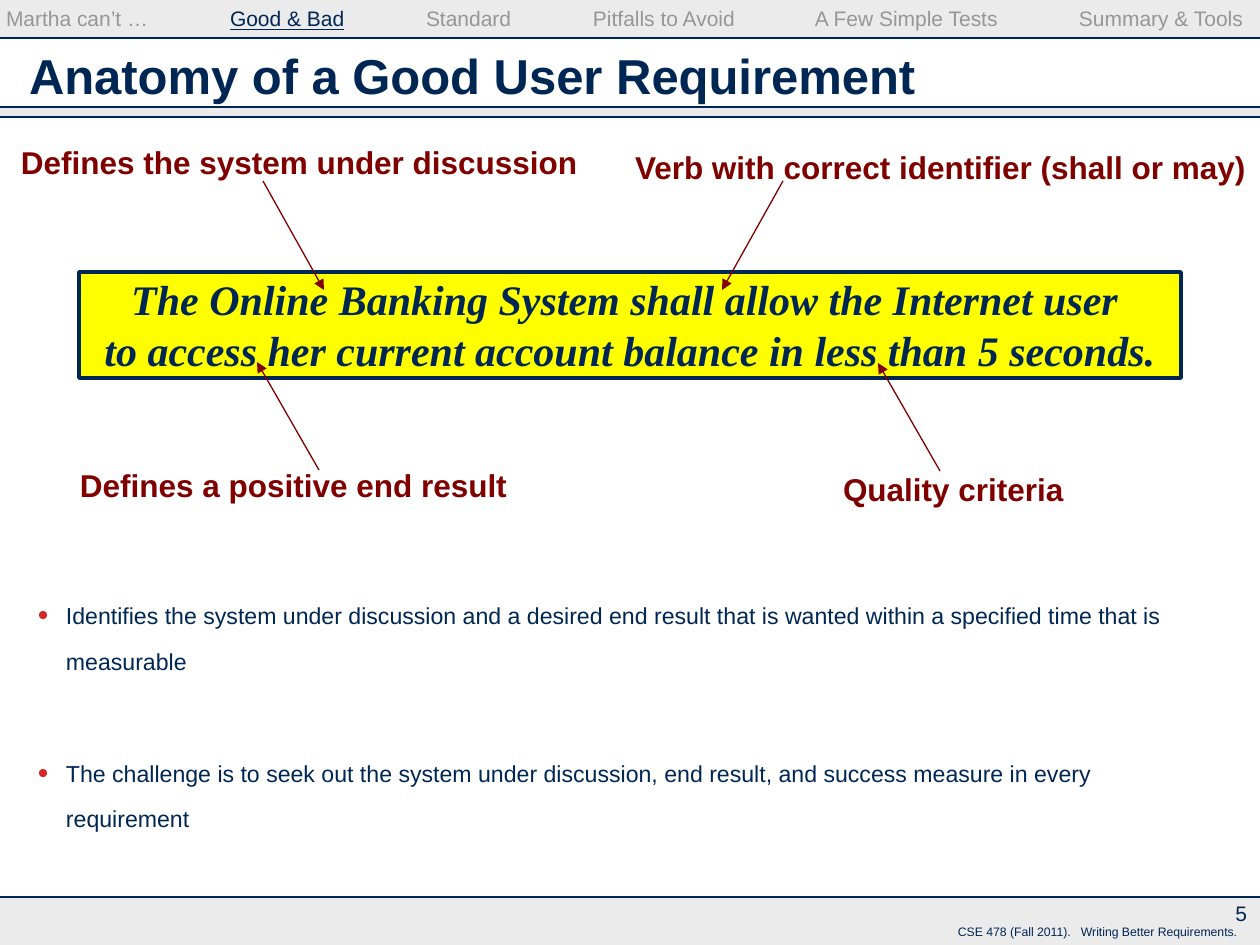
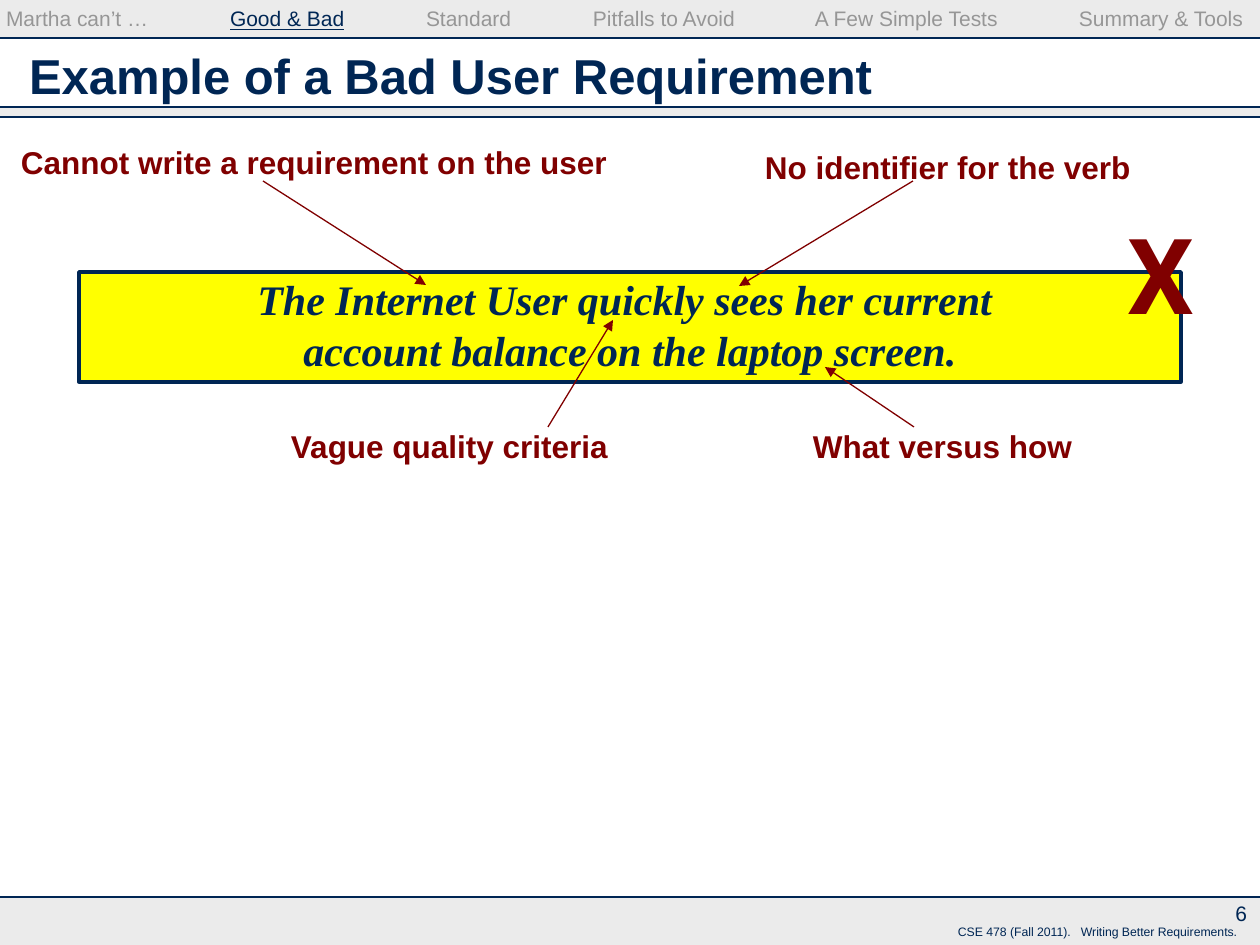
from pptx import Presentation
from pptx.dml.color import RGBColor
from pptx.enum.shapes import MSO_CONNECTOR as Connector, MSO_SHAPE as Shape
from pptx.enum.text import MSO_ANCHOR as Anchor, MSO_AUTO_SIZE as AutoSize, PP_ALIGN as Align
from pptx.oxml.ns import qn
from pptx.util import Emu, Pt
from lxml.etree import SubElement

# Shared style
COLORS = {"navy": "002654", "maroon": "800000", "grey": "969696",
          "band": "CDCDCD", "yellow": "FFFF00", "bullet": "D62828"}
EMU_PER_PX = 914400 / 126
WIDTH, HEIGHT = 1260, 945
INSETS = (13, 6, 13, 6)
NO_INSETS = (0, 0, 0, 0)

# Shared content
BANDS = [(0, 38), (107, 9), (897, 48)]  # top, height
RULES = [38, 107, 117, 897]
CHAPTERS = [("Martha can’t …", 6), ("Good & Bad", 230), ("Standard", 426),
            ("Pitfalls to Avoid", 593), ("A Few Simple Tests", 815),
            ("Summary & Tools", 1079)]
CURRENT_CHAPTER = "Good & Bad"
FOOTER = [("CSE 478 (Fall 2011).", 958), ("Writing Better Requirements.", 1081)]

# Slide content: each callout has its text, box (left, top, width), arrow start and end
SLIDES = [
    {
        "number": 5,
        "title": "Anatomy of a Good User Requirement",
        "statement": ["The Online Banking System shall allow the Internet user ",
                      "to access her current account balance in less than 5 seconds."],
        "statement_height": 106,
        "callouts": [
            ("Defines the system under discussion", (8, 137, 582), (263, 181), (324, 290)),
            ("Verb with correct identifier (shall or may)", (622, 142, 638), (783, 181), (722, 290)),
            ("Defines a positive end result", (67, 460, 452), (319, 470), (257, 362)),
            ("Quality criteria", (830, 464, 246), (940, 471), (878, 363)),
        ],
        "bullets": [
            "Identifies the system under discussion and a desired end result that is "
            "wanted within a specified time that is measurable",
            "The challenge is to seek out the system under discussion, end result, "
            "and success measure in every requirement",
        ],
    },
    {
        "number": 6,
        "title": "Example of a Bad User Requirement",
        "statement": ["The Internet User quickly sees her current ",
                      "account balance on the laptop screen."],
        "statement_height": 110,
        "callouts": [
            ("Cannot write a requirement on the user", (8, 137, 611), (263, 181), (426, 285)),
            ("No identifier for the verb", (752, 142, 391), (913, 181), (739, 286)),
            ("Vague quality criteria", (278, 421, 344), (548, 427), (613, 320)),
            ("What versus how", (800, 421, 284), (914, 427), (825, 367)),
        ],
        "rejected": "X",
    },
]


def px(length):
    return Emu(round(length * EMU_PER_PX))


def rgb(name):
    return RGBColor.from_string(COLORS[name])


def place(shape, left, top, width, height):
    shape.left, shape.top, shape.width, shape.height = map(px, (left, top, width, height))


def set_frame(frame, insets=INSETS, anchor=Anchor.TOP, wrap=True):
    frame.auto_size = AutoSize.NONE
    frame.word_wrap = wrap
    frame.vertical_anchor = anchor
    (frame.margin_left, frame.margin_top,
     frame.margin_right, frame.margin_bottom) = map(px, insets)


def add_run(paragraph, text, size, color="navy", font="Arial", bold=False, italic=False):
    run = paragraph.add_run()
    run.text = text
    run.font.name, run.font.size = font, Pt(size)
    run.font.bold, run.font.italic = bold, italic
    run.font.color.rgb = rgb(color)
    return run


def add_text_box(slide, box, **frame_options):
    text_box = slide.shapes.add_textbox(*map(px, box))
    set_frame(text_box.text_frame, **frame_options)
    return text_box.text_frame.paragraphs[0]


def add_rectangle(slide, box, color):
    rectangle = slide.shapes.add_shape(Shape.RECTANGLE, *map(px, box))
    rectangle.shadow.inherit = False
    rectangle.fill.solid()
    rectangle.fill.fore_color.rgb = rgb(color)
    return rectangle


def add_line(slide, start, end, color, arrow=False):
    line = slide.shapes.add_connector(Connector.STRAIGHT, *map(px, start + end))
    line.line.color.rgb = rgb(color)
    line.line.width = Pt(0.75)
    if arrow:
        SubElement(line.line._get_or_add_ln(), qn("a:tailEnd"), type="triangle")
    SubElement(line._element.spPr, qn("a:effectLst"))


def add_tabbed_line(slide, items, top, height, size, current=None):
    """One line of text whose items start at given positions."""
    origin = items[0][1]
    paragraph = add_text_box(slide, (origin, top, WIDTH - origin, height), insets=NO_INSETS)
    tabs = SubElement(paragraph._p.get_or_add_pPr(), qn("a:tabLst"))
    for index, (text, left) in enumerate(items):
        if index:
            SubElement(tabs, qn("a:tab"), pos=str(px(left - origin)), algn="l")
            add_run(paragraph, "\t", size)
        color = "grey" if current and text != current else "navy"
        run = add_run(paragraph, text, size, color)
        run.font.underline = text == current


def add_bands(slide, number):
    for top, height in BANDS:
        band = add_rectangle(slide, (0, top, WIDTH, height), "band")
        band.line.fill.background()
        color = band._element.spPr.find(qn("a:solidFill")).find(qn("a:srgbClr"))
        SubElement(color, qn("a:alpha"), val="40000")
    for top in RULES:
        add_line(slide, (0, top), (WIDTH, top), "navy")
    add_tabbed_line(slide, CHAPTERS, 6, 32, 12, CURRENT_CHAPTER)
    add_tabbed_line(slide, FOOTER, 924, 20, 7)
    paragraph = add_text_box(slide, (1172, 892, 88, 43), anchor=Anchor.MIDDLE)
    paragraph.alignment = Align.RIGHT
    add_run(paragraph, str(number), 12)


def fill_title(slide, text):
    title = slide.shapes.title
    place(title, 16, 33, 1227, 83)
    set_frame(title.text_frame, anchor=Anchor.MIDDLE)
    paragraph = title.text_frame.paragraphs[0]
    paragraph.alignment = Align.LEFT
    add_run(paragraph, text, 28, bold=True)


def fill_bullets(slide, bullets):
    body = slide.placeholders[1]
    place(body, 13, 584, 1201, 300)
    frame = body.text_frame
    set_frame(frame, insets=NO_INSETS)
    for index, text in enumerate(bullets):
        paragraph = frame.add_paragraph() if index else frame.paragraphs[0]
        properties = paragraph._p.get_or_add_pPr()
        properties.set("marL", str(px(53)))
        properties.set("indent", str(px(-28)))
        bullet_color = SubElement(properties, qn("a:buClr"))
        SubElement(bullet_color, qn("a:srgbClr"), val=COLORS["bullet"])
        SubElement(properties, qn("a:buSzPct"), val="130000")
        SubElement(properties, qn("a:buChar"), char="•")
        paragraph.line_spacing = Pt(26)
        paragraph.space_before = Pt(38 if index else 0)
        add_run(paragraph, text, 13.2)


def add_statement(slide, lines, height):
    panel = add_rectangle(slide, (79, 272, 1102, height), "yellow")
    panel.line.color.rgb = rgb("navy")
    panel.line.width = Pt(2)
    set_frame(panel.text_frame, insets=(0, 2, 0, 0), wrap=False)
    paragraph = panel.text_frame.paragraphs[0]
    paragraph.alignment = Align.CENTER
    for index, line in enumerate(lines):
        if index:
            paragraph.add_line_break()
        add_run(paragraph, line, 24, font="Times New Roman", bold=True, italic=True)


def build_slide(presentation, content):
    bullets = content.get("bullets")
    layout = presentation.slide_layouts[1 if bullets else 5]
    slide = presentation.slides.add_slide(layout)
    add_bands(slide, content["number"])
    fill_title(slide, content["title"])
    if bullets:
        fill_bullets(slide, bullets)
    add_statement(slide, content["statement"], content["statement_height"])
    for text, (left, top, width), start, end in content["callouts"]:
        paragraph = add_text_box(slide, (left, top, width, 50), wrap=False)
        add_run(paragraph, text, 18, "maroon", bold=True)
        add_line(slide, start, end, "maroon", arrow=True)
    if "rejected" in content:
        paragraph = add_text_box(slide, (1115, 204, 95, 139), wrap=False)
        add_run(paragraph, content["rejected"], 60, "maroon", "Roboto", bold=True)


def main():
    presentation = Presentation()
    presentation.slide_width, presentation.slide_height = px(WIDTH), px(HEIGHT)
    for content in SLIDES:
        build_slide(presentation, content)
    presentation.save("out.pptx")


if __name__ == "__main__":
    main()
